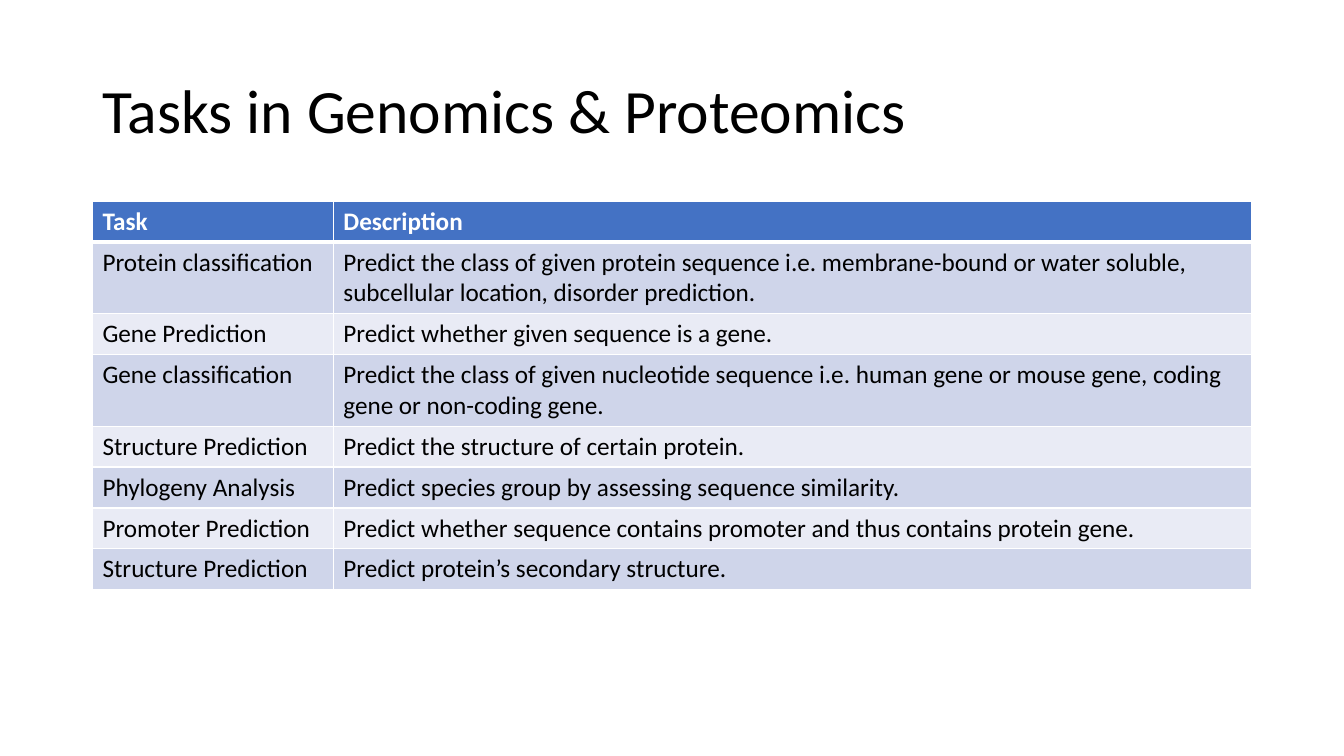
from typing import NamedTuple

from lxml.etree import SubElement as SubEl
from pptx import Presentation
from pptx.dml.color import RGBColor as Color
from pptx.enum.text import MSO_ANCHOR as Anchor, PP_ALIGN as Align
from pptx.oxml.ns import qn
from pptx.slide import Slide
from pptx.table import _Cell as Cell
from pptx.text.text import TextFrame as Frame
from pptx.util import Cm, Pt

WHITE = Color(0xFF, 0xFF, 0xFF)
BLACK = Color(0x00, 0x00, 0x00)
BLUE = Color(0x44, 0x72, 0xC4)
BANDS = (Color(0xCF, 0xD5, 0xEA), Color(0xE9, 0xEB, 0xF5))

FONT = "Calibri"
LEFT, WIDTH = Cm(2.33), Cm(29.21)
TASK_W = Cm(6.07)
ROW_H = Cm(1.03)
THIN, THICK = Pt(1), Pt(3)


class Task(NamedTuple):
    """One row of the table."""
    name: str
    about: str


HEAD = Task("Task", "Description")
TASKS = [
    Task("Protein classification",
         "Predict the class of given protein sequence i.e. membrane-bound "
         "or water soluble, subcellular location, disorder prediction."),
    Task("Gene Prediction", "Predict whether given sequence is a gene."),
    Task("Gene classification",
         "Predict the class of given nucleotide sequence i.e. human gene "
         "or mouse gene, coding gene or non-coding gene."),
    Task("Structure Prediction", "Predict the structure of certain protein."),
    Task("Phylogeny Analysis",
         "Predict species group by assessing sequence similarity."),
    Task("Promoter Prediction",
         "Predict whether sequence contains promoter and thus contains "
         "protein gene."),
    Task("Structure Prediction", "Predict protein’s secondary structure."),
]


def write(frame: Frame, text: str, size: int, color: Color,
          bold: bool = False) -> None:
    """Set the text of a frame and format its runs."""
    frame.text = text
    for run in frame.paragraphs[0].runs:
        font = run.font
        font.name, font.size, font.bold = FONT, Pt(size), bold
        font.color.rgb = color


def edge(cell: Cell, top: int, bottom: int) -> None:
    """Draw white borders around a cell."""
    props = cell._tc.get_or_add_tcPr()
    for side, width in zip("LRTB", (THIN, THIN, top, bottom)):
        line = SubEl(props, qn(f"a:ln{side}"), w=str(width))
        fill = SubEl(line, qn("a:solidFill"))
        SubEl(fill, qn("a:srgbClr"), val=str(WHITE))


def add_title(slide: Slide, text: str) -> None:
    """Place and format the title."""
    title = slide.shapes.title
    title.left, title.top = LEFT, Cm(1.01)
    title.width, title.height = WIDTH, Cm(3.68)
    frame = title.text_frame
    write(frame, text, 44, BLACK)
    frame.vertical_anchor = Anchor.MIDDLE
    frame.paragraphs[0].alignment = Align.LEFT
    frame.paragraphs[0].line_spacing = 0.9


def add_tasks(slide: Slide, rows: list[Task]) -> None:
    """Add the table, with its first row as the header."""
    table = slide.shapes.add_table(len(rows), 2, LEFT, Cm(5.07), WIDTH,
                                   ROW_H * len(rows)).table
    table.columns[0].width = TASK_W
    table.columns[1].width = WIDTH - TASK_W
    for i, task in enumerate(rows):
        head = i == 0
        for j, text in enumerate(task):
            cell = table.cell(i, j)
            write(cell.text_frame, text, 18, WHITE if head else BLACK, head)
            edge(cell, THICK if i == 1 else THIN, THICK if head else THIN)
            cell.fill.solid()
            cell.fill.fore_color.rgb = BLUE if head else BANDS[(i - 1) % 2]


def main() -> None:
    """Build and save the slide."""
    deck = Presentation()
    deck.slide_width, deck.slide_height = Cm(33.87), Cm(19.05)
    slide = deck.slides.add_slide(deck.slide_layouts[5])
    add_title(slide, "Tasks in Genomics & Proteomics")
    add_tasks(slide, [HEAD, *TASKS])
    deck.save("out.pptx")


main()
